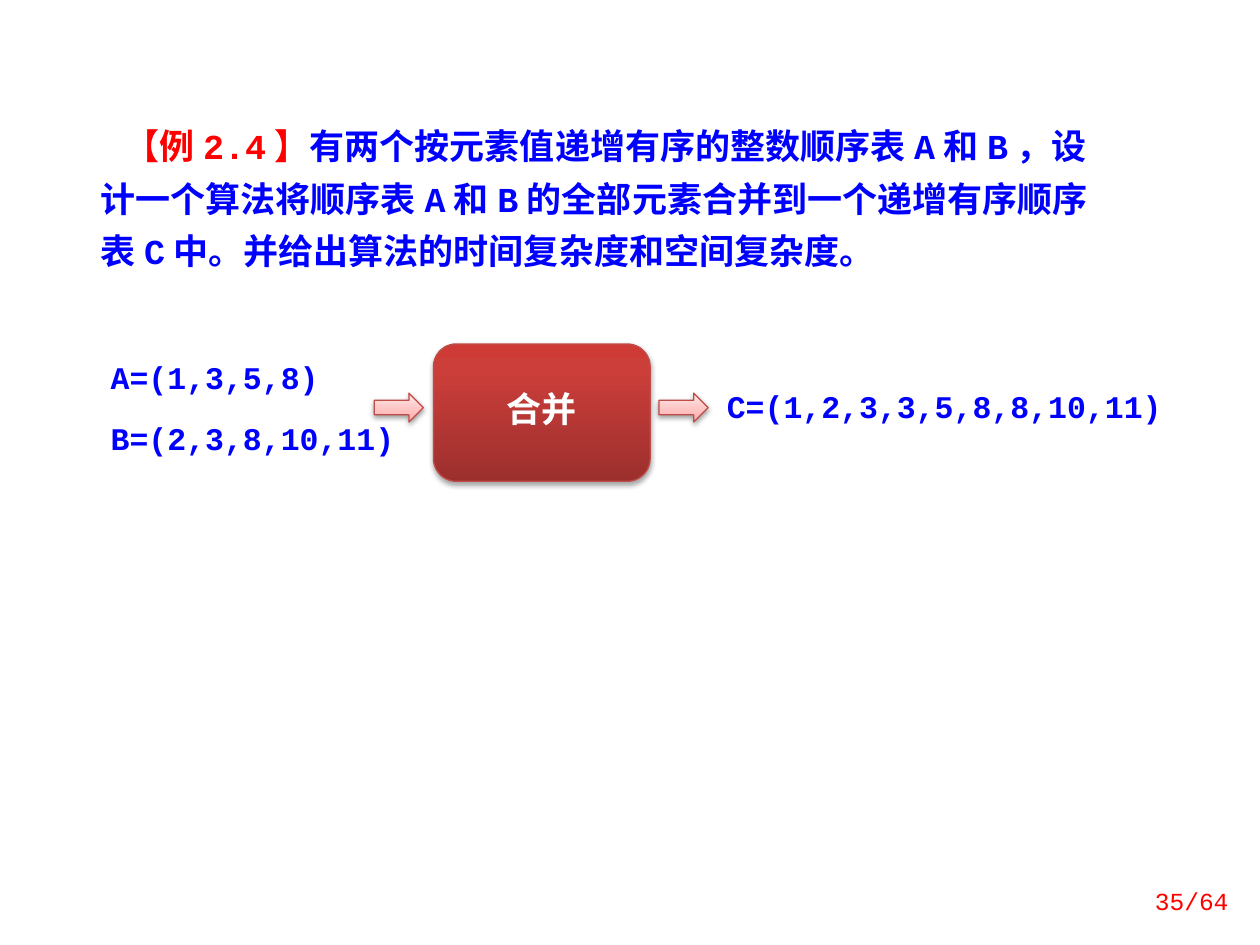
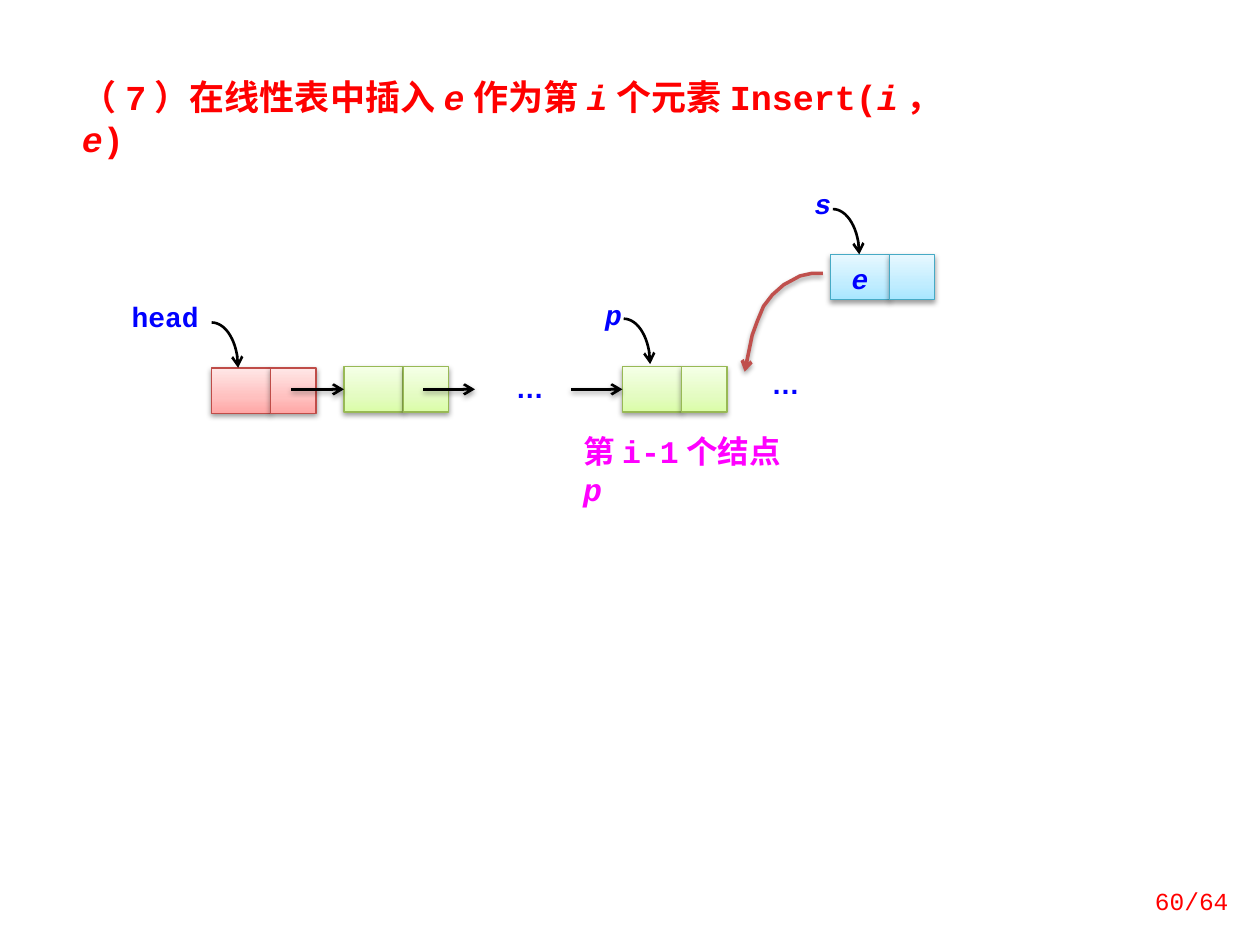
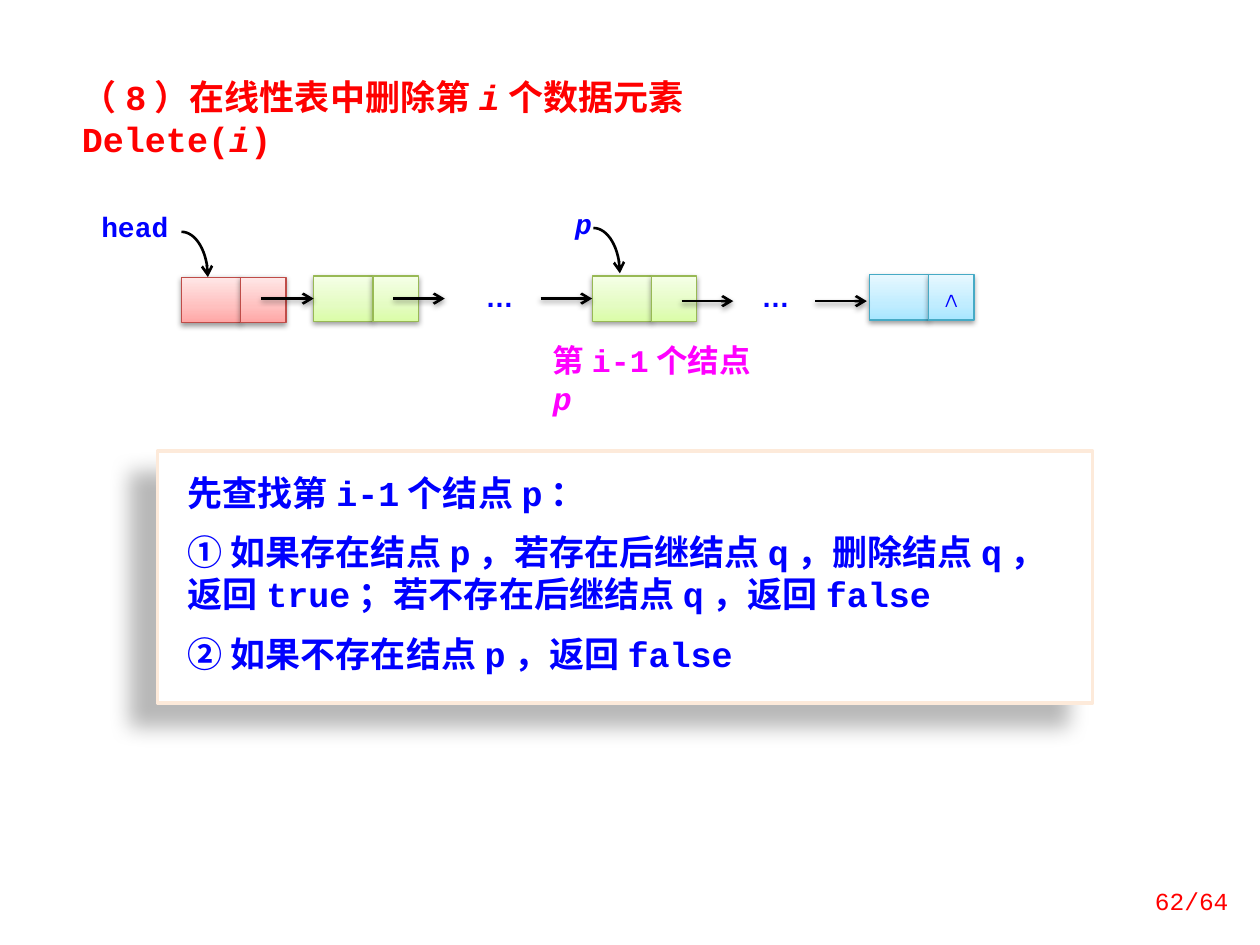
"""Build three slides on merging sequential lists and editing linked lists."""
from math import cos, pi, sin

from lxml.etree import SubElement as Sub
from pptx import Presentation
from pptx.dml.color import RGBColor as Rgb
from pptx.enum.shapes import MSO_CONNECTOR as Link, MSO_SHAPE as Form
from pptx.enum.text import MSO_ANCHOR as Anchor, MSO_AUTO_SIZE as Fit, PP_ALIGN as Align
from pptx.oxml.ns import qn
from pptx.util import Inches, Pt

HUES = {"blue": "0000FF", "red": "FF0000", "pink": "FF00FF", "white": "FFFFFF",
        "black": "000000", "brick": "C0504D", "cream": "FDEADA"}
SKINS = {
    "rose": ("BF4C48", [(0, "FFA6A5"), (35, "FFC0BF"), (100, "FFE7E7")]),
    "lime": ("98B955", [(0, "DAFDA7"), (35, "E4FCC2"), (100, "F5FFE7")]),
    "aqua": ("46AAC5", [(0, "A7E6FF"), (35, "C1EDFF"), (100, "E7F8FF")]),
    "ruby": ("BF4C48", [(0, "9C2F2D"), (80, "CB3E3A"), (100, "CE3B37")]),
}
MONO, SANS, HAN = "Courier New", "Arial", "Noto Sans CJK SC"
SOFT = (38, 3.1, 1.6, 90)
FIRM = (35, 3.1, 1.8, 90)
DEEP = (28, 11.8, 19.7, 141)
TOTAL = 64

TASK = ("*【例2.4】*有两个按元素值递增有序的整数顺序表A和B，设计一个算法将顺序表A和B的"
        "全部元素合并到一个递增有序顺序表C中。并给出算法的时间复杂度和空间复杂度。")
INPUTS = ["A=(1,3,5,8)", "B=(2,3,8,10,11)"]
OUTPUT = ["C=(1,2,3,3,5,8,8,10,11)"]
INSERT = "（7）在线性表中插入*e*作为第*i*个元素Insert(*i*，*e*)"
DELETE = "（8）在线性表中删除第*i*个数据元素Delete(*i*)"
CAPTION = "第i-1个结点*p*"
STEPS = ["先查找第i-1个结点p：",
         "① 如果存在结点p，若存在后继结点q，删除结点q，返回true；若不存在后继结点q，返回false",
         "② 如果不存在结点p，返回false"]
SWEEP = [(6.53, 2.17), (6.44, 2.17), (6.35, 2.19), (6.22, 2.26), (6.13, 2.34),
         (6.06, 2.43), (6.01, 2.55), (5.97, 2.66), (5.91, 2.95)]


def rgb(hue):
    return Rgb.from_string(HUES.get(hue, hue))


def inch(*sizes):
    return [Inches(size) for size in sizes]


def write(frame, paras, size, hue="blue", accent=None, font=MONO, bold=True,
          align=Align.LEFT, pitch=None, inset=None, anchor=Anchor.TOP):
    """Fill a frame; text between stars takes the accent colour or italics."""
    frame.word_wrap = True
    frame.auto_size = Fit.NONE
    frame.vertical_anchor = anchor
    if inset:
        (frame.margin_left, frame.margin_top,
         frame.margin_right, frame.margin_bottom) = inch(*inset)
    for row, text in enumerate(paras):
        para = frame.add_paragraph() if row else frame.paragraphs[0]
        para.alignment = align
        if pitch:
            para.line_spacing = pitch
        if row:
            para.space_before = Pt(size / 2)
        for spot, part in enumerate(text.split("*")):
            if not part:
                continue
            run = para.add_run()
            run.text = part
            face, marked = run.font, spot % 2 == 1
            face.size, face.name, face.bold = Pt(size), font, bold
            face.italic = marked and not accent
            face.color.rgb = rgb(accent if marked and accent else hue)
            ea = Sub(run._r.rPr, qn("a:ea"))
            ea.set("typeface", HAN if font == MONO else font)


def text(slide, at, paras, size, **look):
    box = slide.shapes.add_textbox(*inch(*at))
    write(box.text_frame, paras, size, **look)
    return box


def shade(shape, alpha, blur, dist, turn):
    props = shape._element.spPr
    glow = props.find(qn("a:effectLst"))
    if glow is None:
        glow = Sub(props, qn("a:effectLst"))
    drop = Sub(glow, qn("a:outerShdw"), blurRad=str(Pt(blur)), dist=str(Pt(dist)),
               dir=str(turn * 60000), algn="ctr", rotWithShape="0")
    tint = Sub(drop, qn("a:srgbClr"), val=HUES["black"])
    Sub(tint, qn("a:alpha"), val=str(alpha * 1000))


def block(slide, at, skin, form=Form.RECTANGLE, drop=SOFT):
    shape = slide.shapes.add_shape(form, *inch(*at))
    edge, stops = SKINS[skin]
    shape.shadow.inherit = False
    shape.fill.gradient()
    grad = shape._element.spPr.find(qn("a:gradFill"))
    for child in list(grad):
        grad.remove(child)
    ramp = Sub(grad, qn("a:gsLst"))
    for pos, tone in stops:
        Sub(Sub(ramp, qn("a:gs"), pos=str(pos * 1000)), qn("a:srgbClr"), val=tone)
    Sub(grad, qn("a:lin"), ang=str(270 * 60000), scaled="1")
    shape.line.color.rgb = rgb(edge)
    shape.line.width = Pt(0.75)
    shade(shape, *drop)
    return shape


def plain(slide, at):
    shape = slide.shapes.add_shape(Form.RECTANGLE, *inch(*at))
    shape.shadow.inherit = False
    shape.fill.solid()
    shape.fill.fore_color.rgb = rgb("white")
    shape.line.fill.background()
    return shape


def label(slide, x, y, wide, word, font=MONO):
    shape = plain(slide, (x, y, wide, 0.29))
    write(shape.text_frame, [word], 16, font=font, align=Align.CENTER, inset=(0, 0, 0, 0))


def node(slide, x, y, skin, words=("", ""), pitch=23):
    cells = [block(slide, (left, y, wide, 0.36), skin)
             for left, wide in ((x, 0.47), (x + 0.47, 0.36))]
    for cell, word in zip(cells, words):
        if word:
            write(cell.text_frame, [word], 16, align=Align.CENTER,
                  pitch=Pt(pitch), inset=(0, 0, 0, 0))
    return cells[0]


def tip(shape, hue, width):
    shape.line.color.rgb = rgb(hue)
    shape.line.width = Pt(width)
    Sub(shape._element.spPr.find(qn("a:ln")), qn("a:tailEnd"), type="arrow")


def arrow(slide, x, y, goal=None):
    line = slide.shapes.add_connector(Link.STRAIGHT, *inch(x, y, x + 0.41, y))
    if goal is not None:
        line.end_connect(goal, 1)
    tip(line, "black", 1.5)
    shade(line, *SOFT)


def curve(slide, points, hue, width):
    start, *rest = [inch(*point) for point in points]
    pen = slide.shapes.build_freeform(*start)
    pen.add_line_segments(rest, close=False)
    shape = pen.convert_to_shape()
    shape.fill.background()
    shape.shadow.inherit = False
    tip(shape, hue, width)
    return shape


def hook(slide, x, y):
    turns = [pi / 2 * step / 16 for step in range(17)]
    curve(slide, [(x + 0.21 * sin(t), y + 0.36 * (1 - cos(t))) for t in turns], "black", 1.5)


def chain(slide, x, y):
    """Draw the list from its head to node p, with pointers and caption."""
    node(slide, x, y, "rose")
    first = node(slide, x + 1.05, y - 0.01, "lime")
    prior = node(slide, x + 3.26, y - 0.01, "lime")
    for left, goal in ((0.63, first), (1.68, None), (2.85, prior)):
        arrow(slide, x + left, y + 0.17, goal)
    label(slide, x - 0.74, y - 0.54, 0.74, "head")
    hook(slide, x, y - 0.36)
    label(slide, x + 2.31, y + 0.02, 0.43, "…", SANS)
    text(slide, (x + 2.85, y + 0.46, 1.8, 0.4), [CAPTION], 18, hue="pink")
    label(slide, x + 3.08, y - 0.56, 0.22, "*p*")
    hook(slide, x + 3.27, y - 0.39)


def start(deck, page, title=None, wide=0):
    slide = deck.slides.add_slide(deck.slide_layouts[5 if title else 6])
    if title:
        head = slide.shapes.title
        head.left, head.top, head.width, head.height = inch(0.55, 0.55, wide, 0.44)
        write(head.text_frame, [title], 20, hue="red")
    text(slide, (8.91, 6.95, 0.94, 0.4), [f"{page}/{TOTAL}"], 14, hue="red",
         bold=False, align=Align.RIGHT, anchor=Anchor.MIDDLE)
    return slide


def merge(deck):
    slide = start(deck, 35)
    task = text(slide, (0.7, 0.86, 8.13, 1.36), [TASK], 20, accent="red", pitch=Pt(30))
    task.text_frame.paragraphs[0]._p.get_or_add_pPr().set("indent", str(Inches(0.19)))
    text(slide, (0.78, 2.73, 2.58, 0.96), INPUTS, 18, pitch=Pt(26))
    core = block(slide, (3.44, 2.73, 1.72, 1.09), "ruby", Form.ROUNDED_RECTANGLE, FIRM)
    write(core.text_frame, ["合并"], 20, hue="white", font=HAN, align=Align.CENTER,
          pitch=0.8, anchor=Anchor.MIDDLE)
    text(slide, (5.67, 2.96, 3.75, 0.44), OUTPUT, 18, pitch=Pt(26))
    for x in (2.97, 5.23):
        block(slide, (x, 3.12, 0.39, 0.23), "rose", Form.RIGHT_ARROW)


def insert(deck):
    slide = start(deck, 60, INSERT, 7.27)
    chain(slide, 1.68, 2.92)
    node(slide, 6.59, 2.02, "aqua", ("*e*", ""))
    label(slide, 6.42, 1.48, 0.22, "*s*")
    hook(slide, 6.61, 1.66)
    shade(curve(slide, SWEEP, "brick", 2), *SOFT)
    label(slide, 6.02, 2.91, 0.43, "…", SANS)


def delete(deck):
    slide = start(deck, 62, DELETE, 6.33)
    chain(slide, 1.44, 2.2)
    node(slide, 6.9, 2.18, "aqua", ("", "∧"), 22)
    label(slide, 5.94, 2.22, 0.43, "…", SANS)
    for x in (5.41, 6.47):
        arrow(slide, x, 2.39)
    panel = plain(slide, (1.25, 3.58, 7.42, 2))
    panel.line.color.rgb = rgb("cream")
    panel.line.width = Pt(2)
    shade(panel, *DEEP)
    write(panel.text_frame, STEPS, 20, inset=(0.24, 0.16, 0.1, 0.16))


def main():
    deck = Presentation()
    deck.slide_width, deck.slide_height = inch(10, 7.5)
    for build in (merge, insert, delete):
        build(deck)
    deck.save("out.pptx")


if __name__ == "__main__":
    main()
